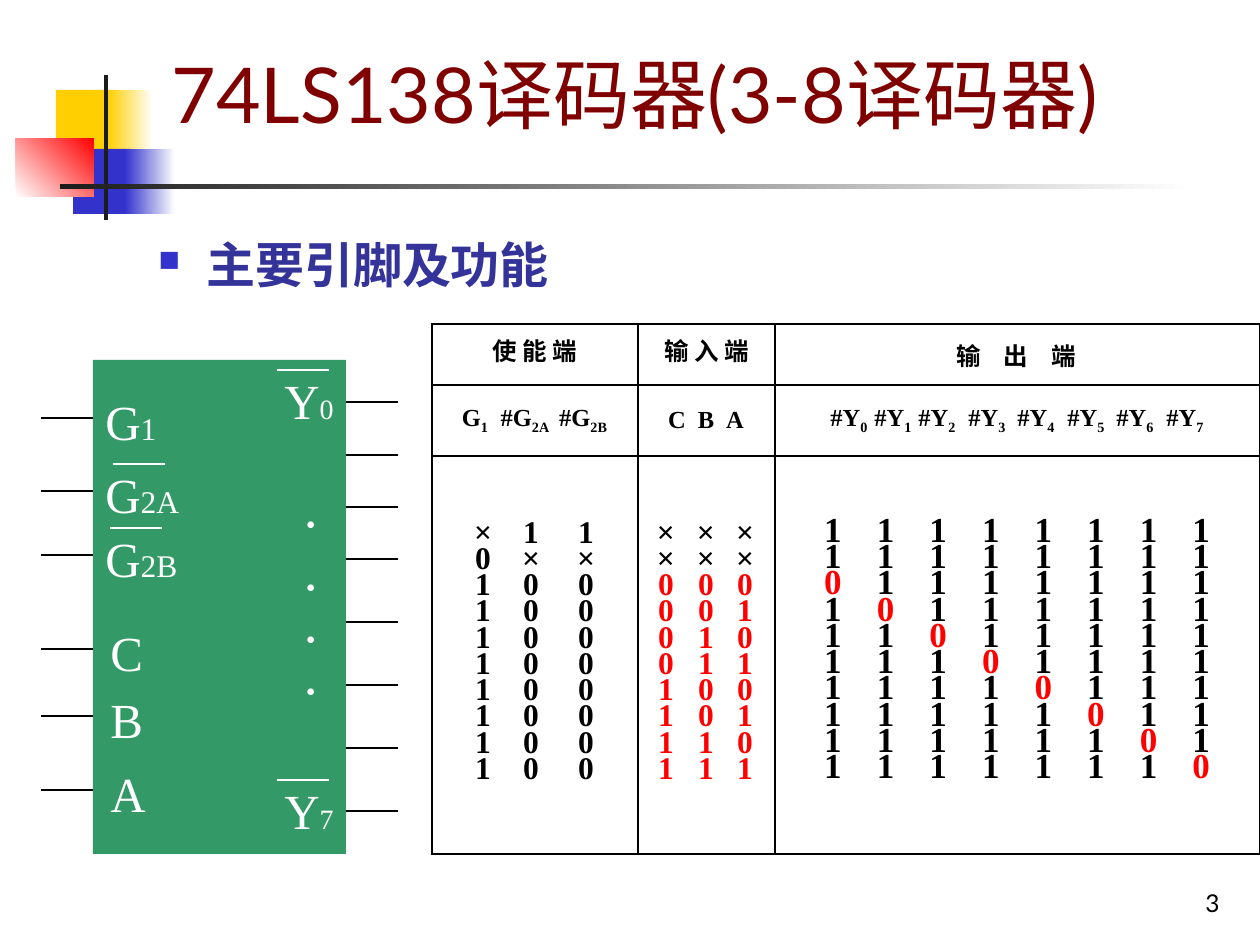
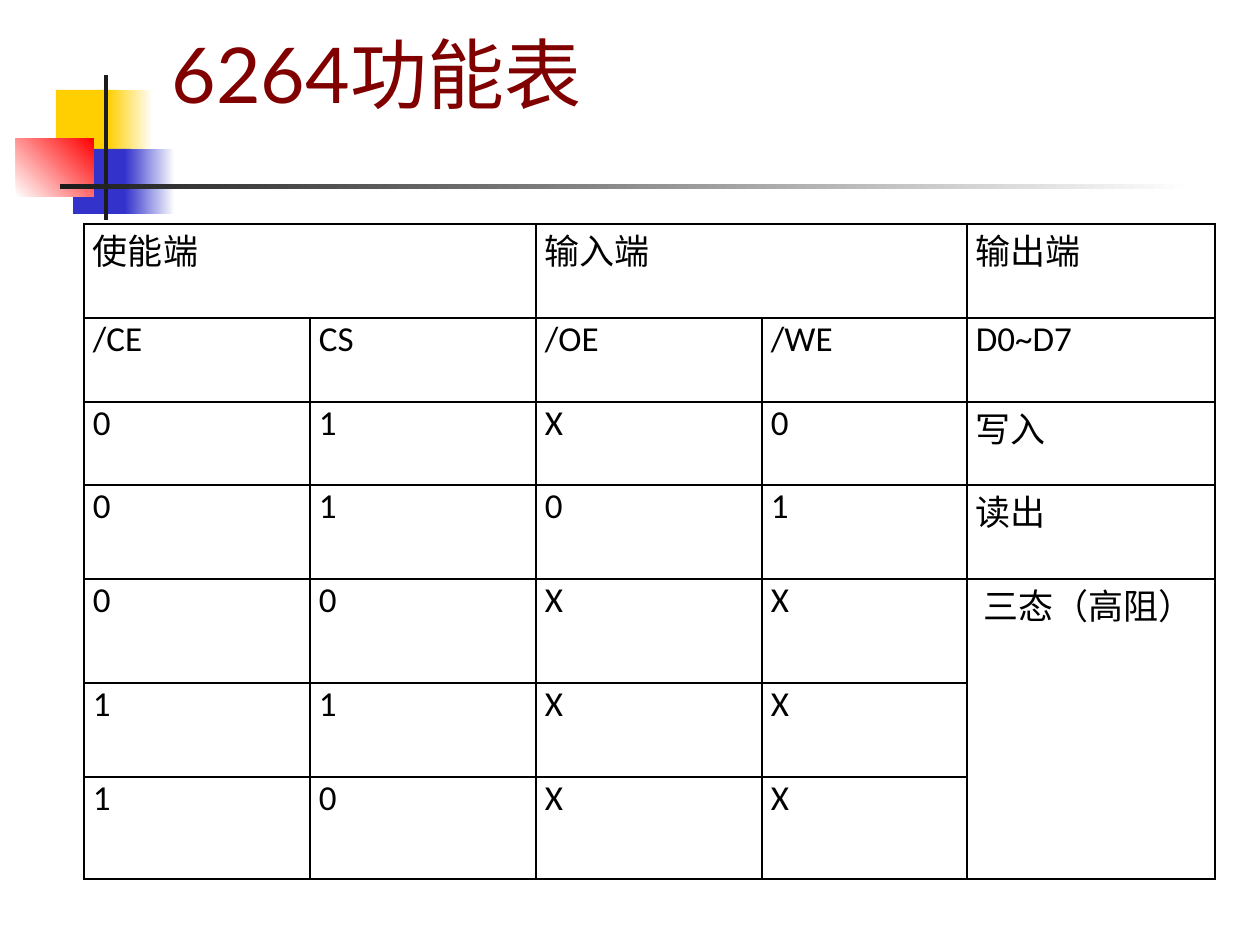
from lxml.etree import SubElement
from pptx import Presentation
from pptx.dml.color import RGBColor
from pptx.enum.shapes import MSO_CONNECTOR, MSO_SHAPE
from pptx.enum.text import MSO_ANCHOR, MSO_AUTO_SIZE, PP_ALIGN
from pptx.oxml.ns import qn
from pptx.util import Emu, Pt

EMU_PER_PX = 914400 / 126
LATO, TIMES, CALIBRI = "Lato", "Times New Roman", "Calibri"

BLACK = RGBColor(0, 0, 0)
WHITE = RGBColor(255, 255, 255)
RED = RGBColor(255, 0, 0)
YELLOW = RGBColor(0xFF, 0xCF, 0x01)
BLUE = RGBColor(0x33, 0x33, 0xCC)
INK = RGBColor(0x1C, 0x1C, 0x1C)
MAROON = RGBColor(0x80, 0, 0)
INDIGO = RGBColor(0x33, 0x33, 0x99)
GREEN = RGBColor(0x33, 0x99, 0x66)

# left, top, width, height, gradient colours, angle
BANDS = [
    (56, 90, 61, 66, (YELLOW,), 0),
    (108, 90, 45, 66, (YELLOW, WHITE), 0),
    (73, 149, 58, 65, (BLUE,), 0),
    (125, 149, 50, 65, (BLUE, WHITE), 0),
    (16, 138, 78, 59, (WHITE, RED), 45),
    (104, 75, 4, 145, (INK,), 0),
    (60, 184, 1134, 5, (INK, WHITE), 0),
]


def px(n):
    return Emu(round(n * EMU_PER_PX))


def write(p, text, size=14, color=BLACK, font=TIMES, bold=False, sub=False):
    r = p.add_run()
    r.text = text
    r.font.size = Pt(size)
    r.font.name = font
    r.font.bold = bold
    r.font.color.rgb = color
    if sub:
        r.font._element.set("baseline", "-25000")


def add_text(s, x, y, w, h, anchor=MSO_ANCHOR.TOP):
    """Add a wrapping text box and return its text frame."""
    tf = s.shapes.add_textbox(px(x), px(y), px(w), px(h)).text_frame
    tf.word_wrap = True
    tf.vertical_anchor = anchor
    return tf


def add_rect(s, x, y, w, h, colors, angle=0):
    sp = s.shapes.add_shape(MSO_SHAPE.RECTANGLE, px(x), px(y), px(w), px(h))
    sp.shadow.inherit = False
    sp.line.fill.background()
    if len(colors) == 1:
        sp.fill.solid()
        sp.fill.fore_color.rgb = colors[0]
    else:
        sp.fill.gradient()
        sp.fill.gradient_angle = angle
        for stop, color in zip(sp.fill.gradient_stops, colors):
            stop.color.rgb = color
    return sp


def add_line(s, x, y, length, color=BLACK, width=0.75):
    """Add a horizontal line."""
    c = s.shapes.add_connector(MSO_CONNECTOR.STRAIGHT, px(x), px(y), px(x + length), px(y))
    c.line.color.rgb = color
    c.line.width = Pt(width)
    SubElement(c.element.spPr, qn("a:effectLst"))


def add_bands(s, layout):
    """Draw the bands and move them to the layout, for all slides to share."""
    for x, y, w, h, colors, angle in BANDS:
        layout.shapes.element.append(add_rect(s, x, y, w, h, colors, angle).element)


def set_title(s, text, height):
    title = s.shapes.title
    title.left, title.top, title.width, title.height = px(159), px(29), px(1073), px(height)
    tf = title.text_frame
    tf.auto_size = MSO_AUTO_SIZE.NONE
    tf.vertical_anchor = MSO_ANCHOR.BOTTOM
    p = tf.paragraphs[0]
    p.alignment = PP_ALIGN.LEFT
    write(p, text, size=44, color=MAROON, font=LATO)


def add_bullet(s, text, x, y, w, h):
    p = add_text(s, x, y, w, h).paragraphs[0]
    pPr = p._p.get_or_add_pPr()
    pPr.set("marL", str(px(48)))
    pPr.set("indent", str(px(-48)))
    color = SubElement(pPr, qn("a:buClr"))
    SubElement(color, qn("a:srgbClr"), val=str(BLUE))
    SubElement(pPr, qn("a:buSzPct"), val="60000")
    SubElement(pPr, qn("a:buChar"), char="■")
    p.line_spacing = 1.1
    write(p, text, size=28, color=INDIGO, font=LATO, bold=True)


def add_page_number(s, number):
    p = add_text(s, 970, 861, 262, 63, MSO_ANCHOR.BOTTOM).paragraphs[0]
    p.alignment = PP_ALIGN.RIGHT
    write(p, str(number), font=LATO)


def add_chip(s, x, y, w, h):
    """Draw the decoder with its pins; every part is placed from its top left."""
    pin = 52
    add_rect(s, x, y, w, h, (GREEN,))

    def label(dx, dy, width, name, index="", index_size=18, bar=None):
        tf = add_text(s, x + dx, y + dy, width, 72)
        tf.margin_top = px(10)
        p = tf.paragraphs[0]
        write(p, name, size=28, color=WHITE)
        if index:
            write(p, index, size=index_size, color=WHITE)
        if bar is not None:
            add_line(s, x + dx + bar, y + dy + 10, pin, WHITE, 1.5)

    inputs = [(58, 0, "G", "1", None), (131, 0, "G", "2A", 20), (195, 0, "G", "2B", 17),
              (289, 5, "C", "", None), (356, 5, "B", "", None), (430, 5, "A", "", None)]
    for dy, dx, name, index, bar in inputs:
        add_line(s, x - pin, y + dy, pin)
        label(dx, dy - 37, 116, name, index, bar=bar)

    for dy in (42, 95, 147, 199, 262, 325, 388, 451):
        add_line(s, x + w, y + dy, pin)
    for dy, index in ((0, "0"), (410, "7")):
        label(179, dy, 94, "Y", index, index_size=16, bar=5)
    for dy in (136, 199, 252, 304):
        tf = add_text(s, x + 179, y + dy, 94, 47)
        tf.margin_left, tf.margin_top = px(34), px(10)
        write(tf.paragraphs[0], "•", size=16, color=WHITE)


def add_grid(s, x, y, widths, heights):
    """Add a plain table with thin black borders."""
    table = s.shapes.add_table(len(heights), len(widths), px(x), px(y),
                               px(sum(widths)), px(sum(heights))).table
    table.first_row = table.horz_banding = False
    for column, width in zip(table.columns, widths):
        column.width = px(width)
    for row, height in zip(table.rows, heights):
        row.height = px(height)
    for cell in table.iter_cells():
        cell.margin_left = cell.margin_right = px(9)
        cell.margin_top = cell.margin_bottom = 0
        tcPr = cell._tc.get_or_add_tcPr()
        for side in ("a:lnL", "a:lnR", "a:lnT", "a:lnB"):
            ln = SubElement(tcPr, qn(side), w=str(Pt(1)))
            fill = SubElement(ln, qn("a:solidFill"))
            SubElement(fill, qn("a:srgbClr"), val=str(BLACK))
        cell.fill.background()
    return table


def set_tabs(p, centres):
    """Give the paragraph centred tab stops."""
    tabs = SubElement(p._p.get_or_add_pPr(), qn("a:tabLst"))
    for centre in centres:
        SubElement(tabs, qn("a:tab"), pos=str(px(centre)), algn="ctr")


def write_pins(cell, pins, centres):
    """Write (name, subscript) pairs, one at each tab stop."""
    p = cell.text_frame.paragraphs[0]
    set_tabs(p, centres)
    for name, index in pins:
        write(p, "\t" + name, bold=True)
        if index:
            write(p, index, bold=True, sub=True)


def write_levels(cell, lines, centres, size, is_red):
    """Write one line of levels per state, one level at each tab stop."""
    tf = cell.text_frame
    for i, levels in enumerate(lines):
        p = tf.add_paragraph() if i else tf.paragraphs[0]
        set_tabs(p, centres)
        p.line_spacing = Pt(15)
        for level in levels:
            color = RED if is_red(i, level) else BLACK
            write(p, "\t" + level, size=size, color=color, bold=True)


def add_truth_table(s, x, y):
    table = add_grid(s, x, y, (206, 137, 485), (61, 71, 398))
    for cell in table.iter_cells():
        cell.vertical_anchor = MSO_ANCHOR.MIDDLE

    for col, text in enumerate(("使 能 端", "输 入 端")):
        p = table.cell(0, col).text_frame.paragraphs[0]
        p.alignment = PP_ALIGN.CENTER
        p.line_spacing = Pt(15)
        write(p, text, bold=True)
    write_pins(table.cell(0, 2), [(c, "") for c in "输出端"], (185, 232, 280))

    write_pins(table.cell(1, 0), [("G", "1"), ("#G", "2A"), ("#G", "2B")], (34, 84, 142))
    write_pins(table.cell(1, 1), [(c, "") for c in "CBA"], (30, 59, 88))
    write_pins(table.cell(1, 2), [("#Y", str(i)) for i in range(8)],
               (65, 109, 153, 203, 252, 302, 351, 401))

    enables = ["×11", "0××"] + ["100"] * 8
    selects = ["×××"] * 2 + [format(i, "03b") for i in range(8)]
    outputs = ["1" * 8] * 2 + ["1" * i + "0" + "1" * (7 - i) for i in range(8)]
    write_levels(table.cell(2, 0), enables, (42, 90, 145), 18, lambda i, level: False)
    write_levels(table.cell(2, 1), selects, (19, 59, 98), 18, lambda i, level: i >= 2)
    write_levels(table.cell(2, 2), outputs, [49 + 52.6 * k for k in range(8)], 20,
                 lambda i, level: level == "0")


def add_function_table(s, x, y):
    rows = [
        ("使能端", "", "输入端", "", "输出端"),
        ("/CE", "CS", "/OE", "/WE", "D0~D7"),
        ("0", "1", "X", "0", "写入"),
        ("0", "1", "0", "1", "读出"),
        ("0", "0", "X", "X", " 三态（高阻）"),
        ("1", "1", "X", "X", ""),
        ("1", "0", "X", "X", ""),
    ]
    table = add_grid(s, x, y, (226, 226, 226, 205, 248), (94, 84, 83, 94, 104, 94, 102))
    for top, left, bottom, right in ((0, 0, 0, 1), (0, 2, 0, 3), (4, 4, 6, 4)):
        table.cell(top, left).merge(table.cell(bottom, right))
    for i, row in enumerate(rows):
        for j, text in enumerate(row):
            if text:
                p = table.cell(i, j).text_frame.paragraphs[0]
                p.alignment = PP_ALIGN.JUSTIFY
                write(p, text, size=20, font=CALIBRI)


def decoder_slide(s):
    set_title(s, "74LS138译码器(3-8译码器)", 116)
    add_bullet(s, "主要引脚及功能", 146, 223, 1071, 567)
    add_page_number(s, 3)
    add_chip(s, 93, 360, 253, 494)
    add_truth_table(s, 432, 324)


def memory_slide(s):
    set_title(s, "6264功能表", 96)
    add_function_table(s, 84, 224)


def main():
    prs = Presentation()
    prs.slide_width, prs.slide_height = px(1260), px(945)
    layout = prs.slide_layouts[5]
    slides = [prs.slides.add_slide(layout) for _ in range(2)]
    add_bands(slides[0], layout)
    decoder_slide(slides[0])
    memory_slide(slides[1])
    prs.save("out.pptx")


if __name__ == "__main__":
    main()
